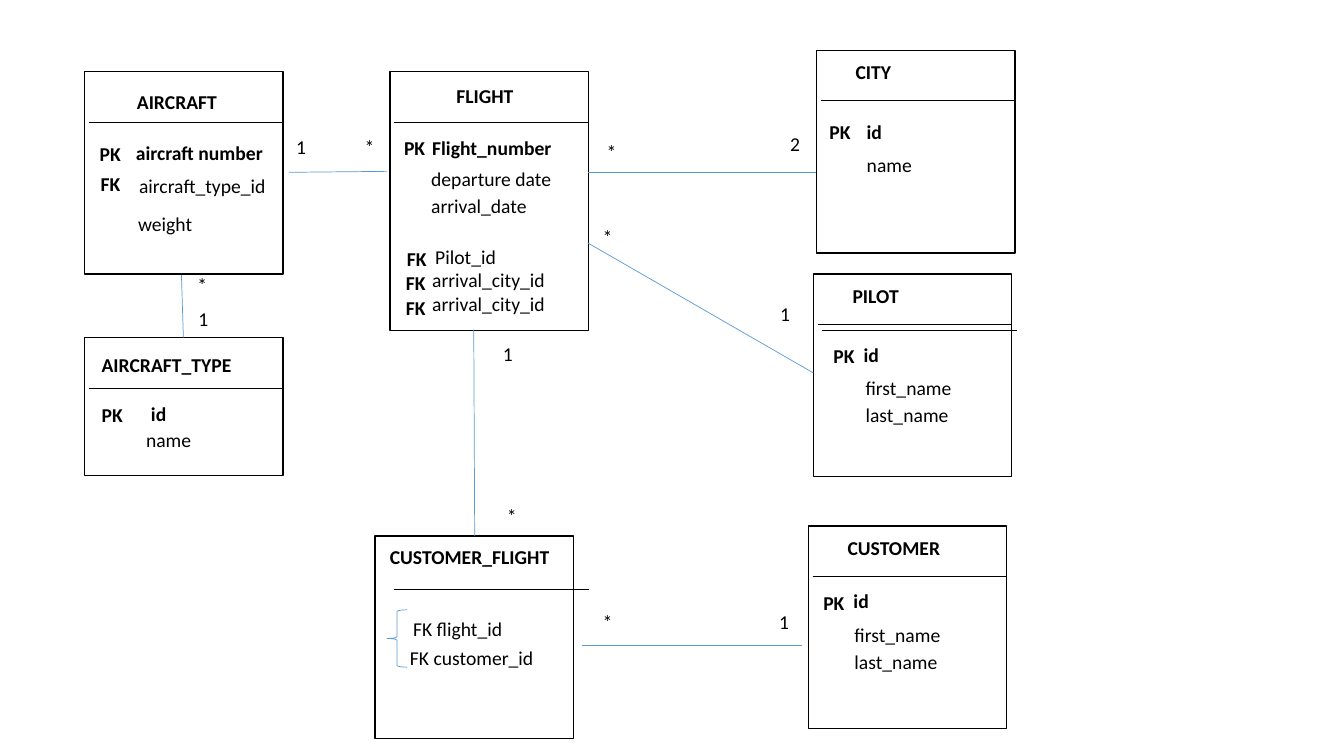
"""Draw the entity-relationship diagram of a flight booking database."""
from dataclasses import dataclass
from typing import NamedTuple

from lxml.etree import SubElement
from pptx import Presentation
from pptx.dml.color import RGBColor
from pptx.enum.shapes import MSO_CONNECTOR as CONN, MSO_SHAPE as SHAPE
from pptx.enum.text import MSO_AUTO_SIZE as FIT
from pptx.oxml.ns import qn
from pptx.util import Pt


@dataclass(frozen=True)
class Theme:
    font: str = "Calibri"
    size: float = 14
    ink: RGBColor = RGBColor(0, 0, 0)
    paper: RGBColor = RGBColor(255, 255, 255)
    link: RGBColor = RGBColor(0x5B, 0x9B, 0xD5)
    border: float = 1
    hairline: float = 0.5


class Label(NamedTuple):
    text: str
    x: float
    y: float
    bold: bool = False


class Rule(NamedTuple):
    dx: float = 3
    dy: float = 36


class Link(NamedTuple):
    x1: float
    y1: float
    x2: float
    y2: float
    ends: tuple[Label, ...]


@dataclass(frozen=True)
class Entity:
    left: float
    top: float
    labels: tuple[Label, ...]
    height: float = 144.7
    rules: tuple[Rule, ...] = (Rule(),)


THEME = Theme()
BOX_WIDTH, RULE_WIDTH, TEXT_HEIGHT = 141.8, 139, 24.5
TEXT_WIDTHS = {
    "FLIGHT": 55.4, "CUSTOMER": 81.4, "CITY": 40.3, "PILOT": 47.5,
    "AIRCRAFT": 72, "AIRCRAFT_TYPE": 108, "CUSTOMER_FLIGHT": 129.6,
    "PK": 29.5, "FK": 28.8, "id": 25.9, "name": 46.8, "weight": 54,
    "first_name": 76.3, "last_name": 74.2, "aircraft number": 106.6,
    "aircraft_type_id": 106.6, "Flight_number": 100.8,
    "departure date": 101.5, "arrival_date": 83.5, "Pilot_id": 58.3,
    "arrival_city_id": 96.5, "FK flight_id": 79.2, "FK customer_id": 103.7,
    "1": 21.6, "2": 21.6, "*": 21.6,
}

FLIGHT = Entity(278.6, 51.1, (
    Label("FLIGHT", 40.3, 5, True),
    Label("PK", 2.9, 42.5, True), Label("Flight_number", 23, 42.5, True),
    Label("departure date", 22.3, 64.8), Label("arrival_date", 22.3, 84.2),
    Label("FK", 5, 121.7, True), Label("Pilot_id", 25.2, 120.2),
    Label("FK", 4.3, 139, True), Label("arrival_city_id", 23, 136.8),
    Label("FK", 4.3, 157, True), Label("arrival_city_id", 23, 154.1),
), height=185)
CUSTOMER = Entity(577.4, 375.8, (
    Label("CUSTOMER", 20.9, 3.6, True),
    Label("PK", 3.6, 42.5, True), Label("id", 25.2, 41, True),
    Label("first_name", 25.9, 65.5), Label("last_name", 25.9, 85),
))
CITY = Entity(583.2, 36, (
    Label("CITY", 20.9, 3.6, True),
    Label("PK", 2.2, 46.1, True), Label("id", 28.8, 46.1, True),
    Label("name", 28.8, 69.8),
))
PILOT = Entity(581, 195.8, (
    Label("PILOT", 20.9, 3.6, True),
    Label("PK", 7.2, 46.1, True), Label("id", 28.8, 45.4, True),
    Label("first_name", 30.2, 69.1), Label("last_name", 30.2, 88.6),
), rules=(Rule(), Rule(6.5, 40.3)))
AIRCRAFT = Entity(60.5, 51.1, (
    Label("AIRCRAFT", 30.2, 9.4, True),
    Label("PK", 3.6, 46.8, True), Label("aircraft number", 29.5, 46.1, True),
    Label("FK", 4.3, 68.4, True), Label("aircraft_type_id", 31.7, 69.8),
    Label("weight", 31, 96.5),
))
AIRCRAFT_TYPE = Entity(60.5, 241.2, (
    Label("AIRCRAFT_TYPE", 5, 7.2, True),
    Label("PK", 5, 43.2, True), Label("id", 40.3, 42.5, True),
    Label("name", 36.7, 61.2),
), height=98.6)
CUSTOMER_FLIGHT = Entity(267.8, 383, (
    Label("CUSTOMER_FLIGHT", 3.6, 2.9, True),
    Label("FK flight_id", 20.2, 54), Label("FK customer_id", 18, 74.9),
), rules=(Rule(13.7, 38.2),))
ENTITIES = (FLIGHT, CUSTOMER, CITY, PILOT, AIRCRAFT, AIRCRAFT_TYPE, CUSTOMER_FLIGHT)

LINKS = (
    Link(206.6, 123.1, 276.5, 122.4, (Label("1", 204.5, 92.9), Label("*", 253.4, 92.9))),
    Link(419.8, 123.1, 583.2, 123.1, (Label("*", 426.2, 96.5), Label("2", 557.3, 90.7))),
    Link(129.6, 196.6, 131, 241.2, (Label("*", 133.9, 191.5), Label("1", 134.6, 216))),
    Link(419.8, 173.5, 581, 266.4, (Label("*", 423.4, 157), Label("1", 550.1, 212.4))),
    Link(338.4, 235.4, 339.1, 383, (Label("1", 352.1, 240.5), Label("*", 355, 356.4))),
    Link(573.1, 460.8, 415.4, 460.8, (Label("1", 549.4, 432), Label("*", 423.4, 432))),
)


def add_label(shapes, label: Label, left: float = 0, top: float = 0) -> None:
    """Place one line of text relative to the given corner."""
    sp = shapes.add_textbox(Pt(left + label.x), Pt(top + label.y),
                            Pt(TEXT_WIDTHS[label.text]), Pt(TEXT_HEIGHT))
    tf = sp.text_frame
    tf.word_wrap = False
    tf.auto_size = FIT.SHAPE_TO_FIT_TEXT
    p = tf.paragraphs[0]
    p.text = label.text
    p.font.name, p.font.size = THEME.font, Pt(THEME.size)
    p.font.bold, p.font.color.rgb = label.bold, THEME.ink


def add_line(shapes, x1: float, y1: float, x2: float, y2: float, color: RGBColor) -> None:
    """Draw a thin straight line without a shadow."""
    cn = shapes.add_connector(CONN.STRAIGHT, Pt(x1), Pt(y1), Pt(x2), Pt(y2))
    cn.line.color.rgb, cn.line.width = color, Pt(THEME.hairline)
    SubElement(cn._element.spPr, qn("a:effectLst"))


def add_entity(shapes, entity: Entity) -> None:
    """Draw an entity box with its rules, title and fields."""
    sp = shapes.add_shape(SHAPE.RECTANGLE, Pt(entity.left), Pt(entity.top),
                          Pt(BOX_WIDTH), Pt(entity.height))
    sp.shadow.inherit = False
    sp.fill.solid()
    sp.fill.fore_color.rgb = THEME.paper
    sp.line.color.rgb, sp.line.width = THEME.ink, Pt(THEME.border)
    for rule in entity.rules:
        x, y = entity.left + rule.dx, entity.top + rule.dy
        add_line(shapes, x, y, x + RULE_WIDTH, y, THEME.ink)
    for label in entity.labels:
        add_label(shapes, label, entity.left, entity.top)


def add_key_brace(shapes, entity: Entity) -> None:
    """Bracket the composite key of an entity."""
    sp = shapes.add_shape(SHAPE.LEFT_BRACE, Pt(entity.left + 8.6), Pt(entity.top + 52.6),
                          Pt(14.4), Pt(41))
    sp.shadow.inherit = False
    sp.fill.background()
    sp.line.color.rgb, sp.line.width = THEME.link, Pt(THEME.hairline)


def main() -> None:
    """Build the slide and save it."""
    prs = Presentation()
    prs.slide_width, prs.slide_height = Pt(960), Pt(540)
    shapes = prs.slides.add_slide(prs.slide_layouts[6]).shapes
    for entity in ENTITIES:
        add_entity(shapes, entity)
    add_key_brace(shapes, CUSTOMER_FLIGHT)
    for link in LINKS:
        add_line(shapes, link.x1, link.y1, link.x2, link.y2, THEME.link)
        for end in link.ends:
            add_label(shapes, end)
    prs.save("out.pptx")


main()
